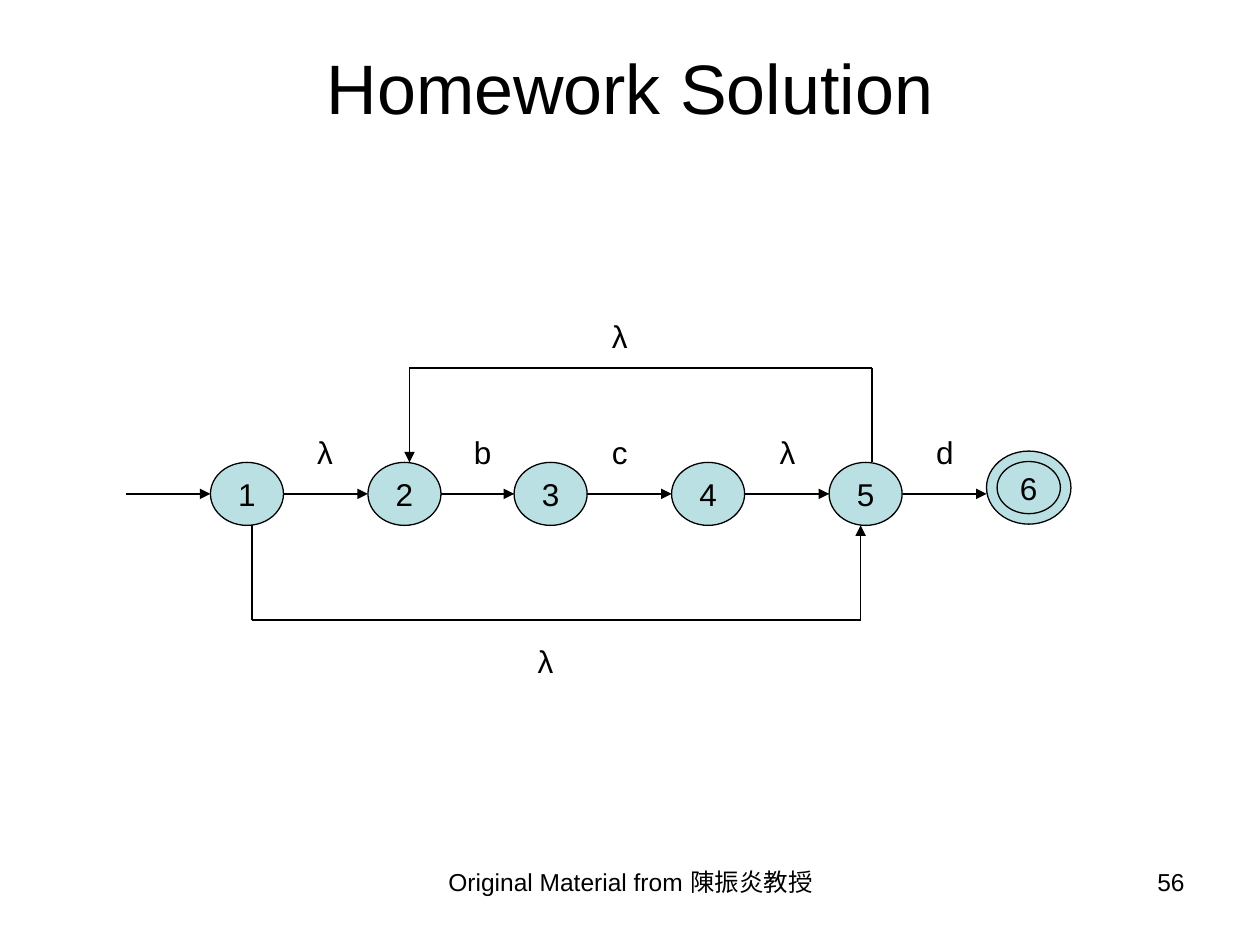
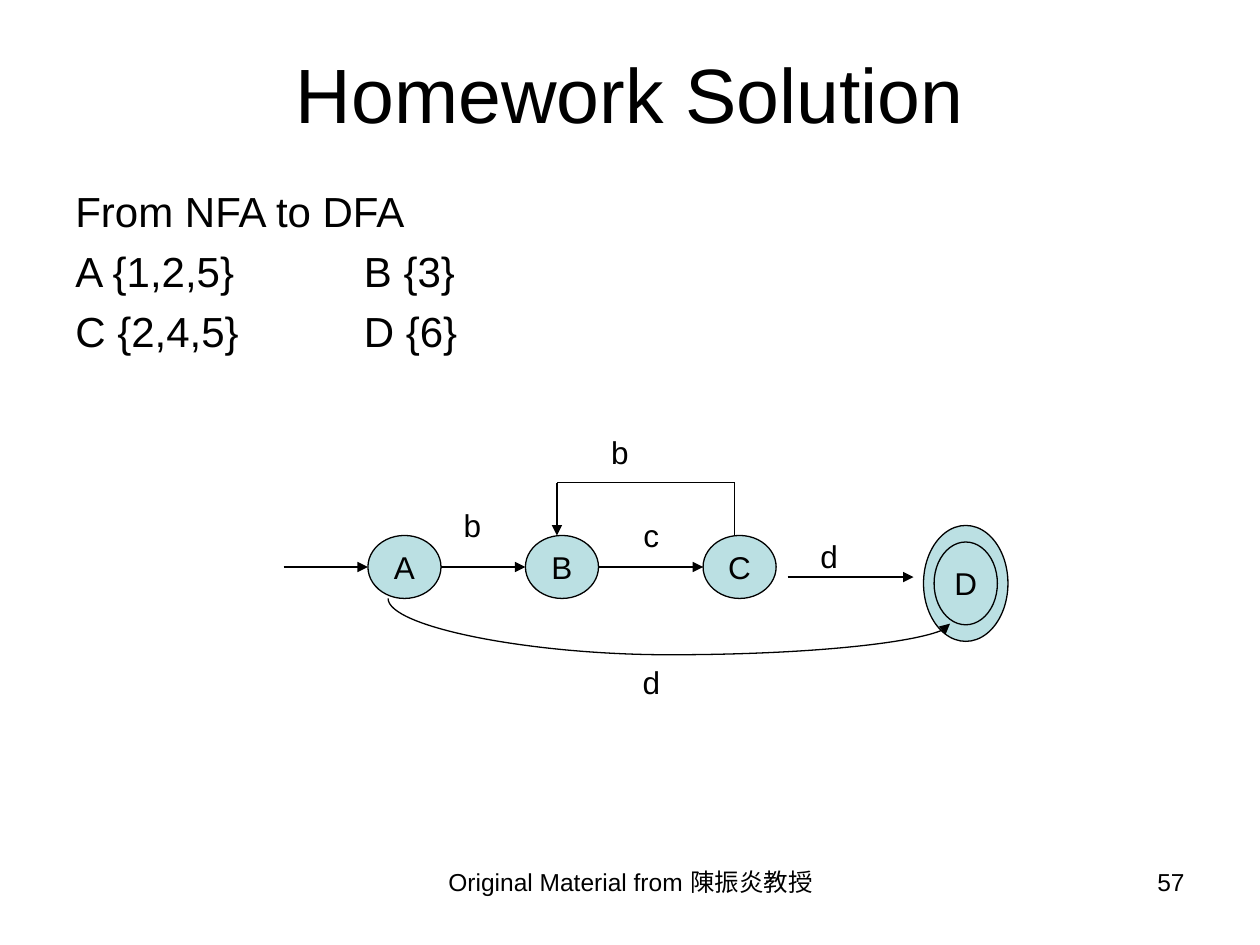
from itertools import pairwise
from lxml import etree
from pptx import Presentation
from pptx.dml.color import RGBColor
from pptx.enum import shapes, text
from pptx.oxml import ns
from pptx.util import Inches, Pt

BLACK = RGBColor(0x00, 0x00, 0x00)
PALE_TEAL = RGBColor(0xBB, 0xE0, 0xE3)
FONT = "Arial"
STATE_W, STATE_H, FINAL_W = 0.58, 0.5, 0.67
LABEL_W, LABEL_H = 0.5, 0.33
ENTRY = 0.67
TAB = 2.29
CENTER, LEFT, RIGHT = text.PP_ALIGN.CENTER, text.PP_ALIGN.LEFT, text.PP_ALIGN.RIGHT
MIDDLE, TOP = text.MSO_ANCHOR.MIDDLE, text.MSO_ANCHOR.TOP

TITLE = "Homework Solution"
FOOTER = "Original Material from 陳振炎教授"

SLIDES = [
    {
        "number": "56", "title_size": 40, "title_height": 0.78,
        "body": [],
        "axis": 3.92,
        "states": {"1": 1.67, "2": 2.92, "3": 4.08, "4": 5.33, "5": 6.58},
        "final": ("6", 7.83, 3.58, 0.58),
        "final_arrow": [(7.17, 3.92), (7.83, 3.92)],
        "loops": [
            [(2, 4.17), (2, 4.92), (6.83, 4.92), (6.83, 4.17)],
            [(6.92, 3.67), (6.92, 2.92), (3.25, 2.92), (3.25, 3.67)],
        ],
        "curve": None,
        "labels": [("λ", 2.33, 3.42), ("b", 3.58, 3.42), ("c", 4.67, 3.42),
                   ("λ", 6, 3.42), ("d", 7.25, 3.42),
                   ("λ", 4.08, 5.08), ("λ", 4.67, 2.5)],
    },
    {
        "number": "57", "title_size": 44, "title_height": 0.87,
        "body": ["From NFA to DFA", "A {1,2,5}\tB {3}", "C {2,4,5}\tD {6}"],
        "axis": 4.5,
        "states": {"A": 2.92, "B": 4.17, "C": 5.58},
        "final": ("D", 7.33, 4.17, 0.92),
        "final_arrow": [(6.25, 4.58), (7.25, 4.58)],
        "loops": [[(5.83, 4.25), (5.83, 3.83), (4.42, 3.83), (4.42, 4.25)]],
        "curve": ((3.08, 4.75), (7.54, 4.95), 2.235),
        "labels": [("b", 3.5, 4), ("c", 4.92, 4.08), ("d", 6.33, 4.25),
                   ("b", 4.67, 3.42), ("d", 4.92, 5.25)],
    },
]


def write(sp, lines, size, align=CENTER, anchor=MIDDLE, wrap=True, before=0):
    tf = sp.text_frame
    for name, value in {"word_wrap": wrap, "vertical_anchor": anchor}.items():
        setattr(tf, name, value)
    for i, line in enumerate(lines):
        p = tf.paragraphs[0] if i == 0 else tf.add_paragraph()
        p.alignment, p.space_before = align, Pt(before)
        r = p.add_run()
        r.text = line
        for name, value in {"name": FONT, "size": Pt(size)}.items():
            setattr(r.font, name, value)
        r.font.color.rgb = BLACK
        if "\t" in line:
            tabs = etree.SubElement(p._p.get_or_add_pPr(), ns.qn("a:tabLst"))
            etree.SubElement(tabs, ns.qn("a:tab"), pos=str(Inches(TAB)), algn="l")


def add_text(s, box, lines, size, **style):
    write(s.shapes.add_textbox(*map(Inches, box)), lines, size, **style)


def add_ellipse(parent, box, label=None):
    sp = parent.shapes.add_shape(shapes.MSO_SHAPE.OVAL, *map(Inches, box))
    sp.shadow.inherit = False
    sp.fill.solid()
    sp.fill.fore_color.rgb = PALE_TEAL
    sp.line.color.rgb, sp.line.width = BLACK, Pt(0.75)
    if label:
        write(sp, [label], 18, wrap=False)


def add_line(s, start, end, arrow=True, kind=shapes.MSO_CONNECTOR.STRAIGHT):
    c = s.shapes.add_connector(kind, *map(Inches, (*start, *end)))
    c.line.color.rgb, c.line.width = BLACK, Pt(0.75)
    if arrow:
        etree.SubElement(c.line._get_or_add_ln(), ns.qn("a:tailEnd"), type="triangle")
    etree.SubElement(c._element.spPr, ns.qn("a:effectLst"))
    return c


def add_curve(s, start, end, bend):
    (x1, y1), (x2, y2) = start, end
    c = add_line(s, start, end, kind=shapes.MSO_CONNECTOR.CURVE)
    w, h = y2 - y1, x2 - x1
    frame = {"left": (x1 + x2 - w) / 2, "top": (y1 + y2 - h) / 2, "width": w, "height": h}
    for name, value in frame.items():
        setattr(c, name, Inches(value))
    xfrm = c._element.spPr.find(ns.qn("a:xfrm"))
    xfrm.set("rot", str(270 * 60000))
    xfrm.set("flipH", "1")
    geom = c._element.spPr.find(ns.qn("a:prstGeom"))
    guides = geom.find(ns.qn("a:avLst"))
    if guides is None:
        guides = etree.SubElement(geom, ns.qn("a:avLst"))
    etree.SubElement(guides, ns.qn("a:gd"), name="adj1", fmla=f"val {round(bend * 100000)}")


def add_final_state(s, label, x, y, h):
    group = s.shapes.add_group_shape()
    dx, dy = FINAL_W / 8, h / 7
    add_ellipse(group, (x, y, FINAL_W, h))
    add_ellipse(group, (x + dx, y + dy, FINAL_W - 2 * dx, h - 2 * dy), label)


def add_automaton(s, d):
    axis, xs = d["axis"], list(d["states"].values())
    for label, x in d["states"].items():
        add_ellipse(s, (x, axis - STATE_H / 2, STATE_W, STATE_H), label)
    add_final_state(s, *d["final"])
    for x1, x2 in pairwise([xs[0] - ENTRY - STATE_W] + xs):
        add_line(s, (x1 + STATE_W, axis), (x2, axis))
    add_line(s, *d["final_arrow"])
    for points in d["loops"]:
        for start, end in pairwise(points):
            add_line(s, start, end, arrow=end == points[-1])
    if d["curve"]:
        add_curve(s, *d["curve"])
    for label, x, y in d["labels"]:
        add_text(s, (x, y, LABEL_W, LABEL_H), [label], 18, wrap=False)


def main():
    prs = Presentation()
    prs.slide_width, prs.slide_height = Inches(10), Inches(7.5)
    for d in SLIDES:
        s = prs.slides.add_slide(prs.slide_layouts[6])
        add_text(s, (0.5, 0.3, 9, d["title_height"]), [TITLE], d["title_size"])
        if d["body"]:
            add_text(s, (0.5, 1.42, 9, 4.95), d["body"], 24,
                     align=LEFT, anchor=TOP, before=5.5)
        add_automaton(s, d)
        add_text(s, (3.42, 6.83, 3.17, 0.52), [FOOTER], 14, anchor=TOP)
        add_text(s, (7.17, 6.83, 2.33, 0.52), [d["number"]], 14, align=RIGHT, anchor=TOP)
    prs.save("out.pptx")


if __name__ == "__main__":
    main()
